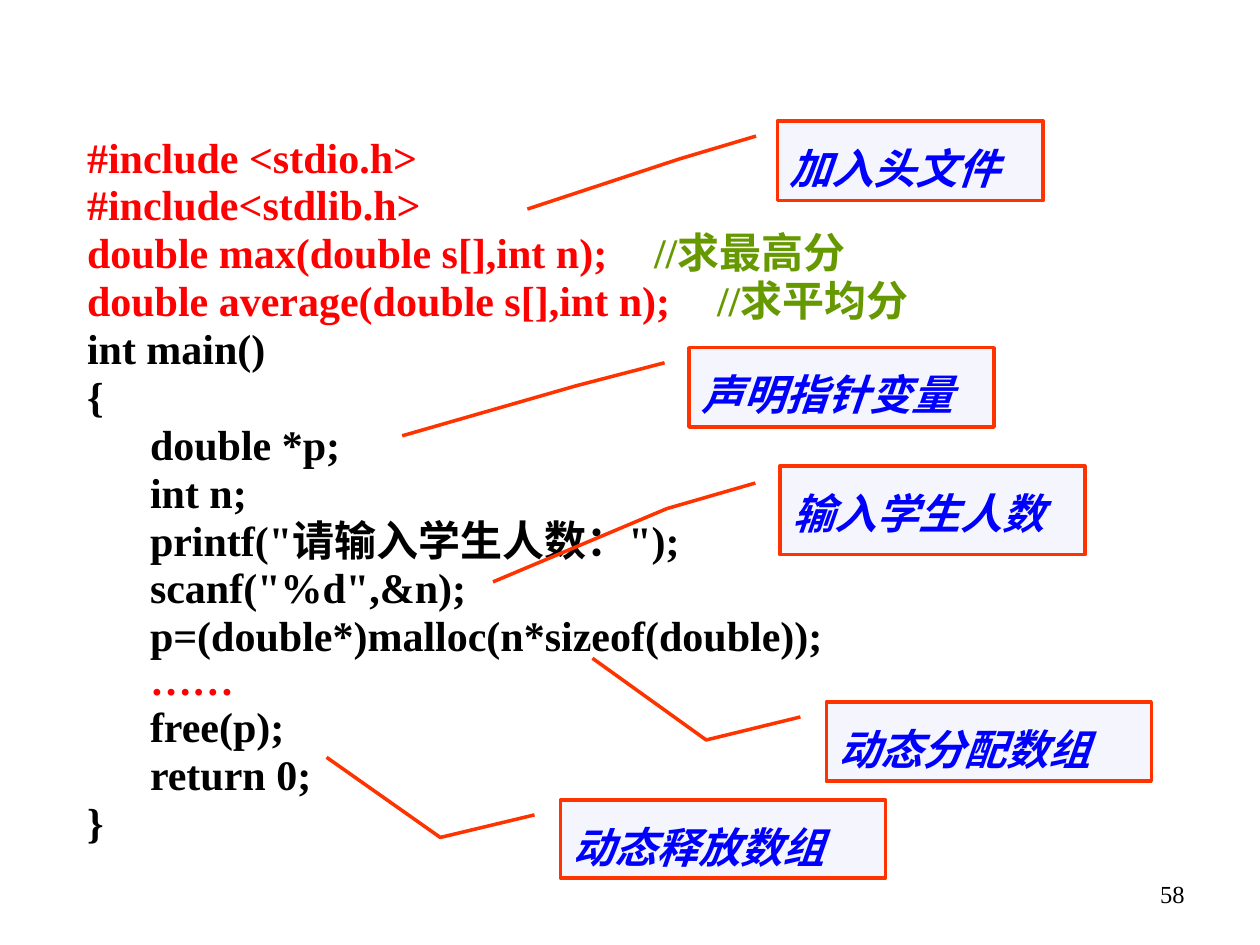
from lxml.etree import SubElement
from pptx import Presentation
from pptx.dml.color import RGBColor
from pptx.enum.shapes import MSO_SHAPE
from pptx.enum.text import MSO_ANCHOR, MSO_AUTO_SIZE, PP_ALIGN
from pptx.oxml.ns import qn
from pptx.util import Cm, Pt

FONT = "Times New Roman"
COLORS = {
    "black": "000000",
    "red": "FF0000",
    "green": "669900",
    "blue": "0000FF",
    "line": "FF3300",
    "fill": "F5F6FD",
}
TABS = (2.54, 12.6)  # code indent, comment column

# Each line is a list of (text, color) runs.
CODE = [
    [("#include <stdio.h>", "red")],
    [("#include<stdlib.h>", "red")],
    [("double max(double s[],int n);\t", "red"), ("//求最高分", "green")],
    [("double average(double s[],int n);\t", "red"), ("//求平均分", "green")],
    [("int main()", "black")],
    [("{", "black")],
    [("\tdouble *p;", "black")],
    [("\tint n;", "black")],
    [('\tprintf("请输入学生人数：");', "black")],
    [('\tscanf("%d",&n);', "black")],
    [("\tp=(double*)malloc(n*sizeof(double));", "black")],
    [("\t", "black"), ("……", "red")],
    [("\tfree(p);", "black")],
    [("\treturn 0;", "black")],
    [("}", "black")],
]

# Text, box in cm, and the leader's tip (y, x) as shares of the box.
NOTES = [
    ("声明指针变量", (13.89, 7.01, 6.15, 1.6), (1.11, -0.94)),
    ("输入学生人数", (15.72, 9.4, 6.15, 1.78), (1.31, -0.94)),
    ("动态分配数组", (16.66, 14.15, 6.55, 1.6), (-0.55, -0.72)),
    ("加入头文件", (15.67, 2.44, 5.36, 1.6), (1.11, -0.94)),
    ("动态释放数组", (11.3, 16.13, 6.55, 1.57), (-0.55, -0.72)),
]


def color(name):
    return RGBColor.from_string(COLORS[name])


def add_run(para, text, hue, size=24, bold=True, italic=False):
    run = para.add_run()
    run.text = text
    font = run.font
    font.name, font.size = FONT, Pt(size)
    font.bold, font.italic = bold, italic
    font.color.rgb = color(hue)


def set_tabs(para):
    """Drop the bullet and its indent, then set the tab stops."""
    props = para._p.get_or_add_pPr()
    props.set("marL", "0")
    props.set("indent", "0")
    SubElement(props, qn("a:buNone"))
    stops = SubElement(props, qn("a:tabLst"))
    for pos in TABS:
        SubElement(stops, qn("a:tab"), pos=str(int(Cm(pos))), algn="l")


def add_code(body):
    body.left, body.top = Cm(1.5), Cm(2.59)
    body.width, body.height = Cm(23.19), Cm(14.81)
    frame = body.text_frame
    frame.auto_size = MSO_AUTO_SIZE.NONE
    frame.vertical_anchor = MSO_ANCHOR.TOP
    for i, line in enumerate(CODE):
        para = frame.add_paragraph() if i else frame.paragraphs[0]
        set_tabs(para)
        para.line_spacing = 0.85 if line[-1][0] == "……" else 0.95
        para.space_before = Pt(0)
        for text, hue in line:
            add_run(para, text, hue)


def add_note(shapes, text, box, tip):
    """Add a callout whose bent leader ends at tip."""
    note = shapes.add_shape(MSO_SHAPE.LINE_CALLOUT_2, *map(Cm, box))
    note.shadow.inherit = False
    for i, value in enumerate((0.19, -0.08, 0.48, -0.37, *tip)):
        note.adjustments[i] = value
    note.fill.solid()
    note.fill.fore_color.rgb = color("fill")
    note.line.color.rgb = color("line")
    note.line.width = Pt(2)
    frame = note.text_frame
    frame.word_wrap = True
    frame.vertical_anchor = MSO_ANCHOR.TOP
    para = frame.paragraphs[0]
    para.alignment = PP_ALIGN.LEFT
    para.line_spacing = 1.3
    add_run(para, text, "blue", italic=True)


def add_number(shapes, text):
    box = shapes.add_textbox(Cm(18.21), Cm(17.6), Cm(5.92), Cm(1.32))
    box.text_frame.word_wrap = True
    para = box.text_frame.paragraphs[0]
    para.alignment = PP_ALIGN.RIGHT
    add_run(para, text, "black", size=14, bold=False)


def main():
    deck = Presentation()
    deck.slide_width, deck.slide_height = Cm(25.4), Cm(19.05)
    slide = deck.slides.add_slide(deck.slide_layouts[1])
    title = slide.shapes.title._element
    title.getparent().remove(title)
    add_number(slide.shapes, "58")
    add_code(slide.placeholders[1])
    for text, box, tip in NOTES:
        add_note(slide.shapes, text, box, tip)
    deck.save("out.pptx")


if __name__ == "__main__":
    main()
